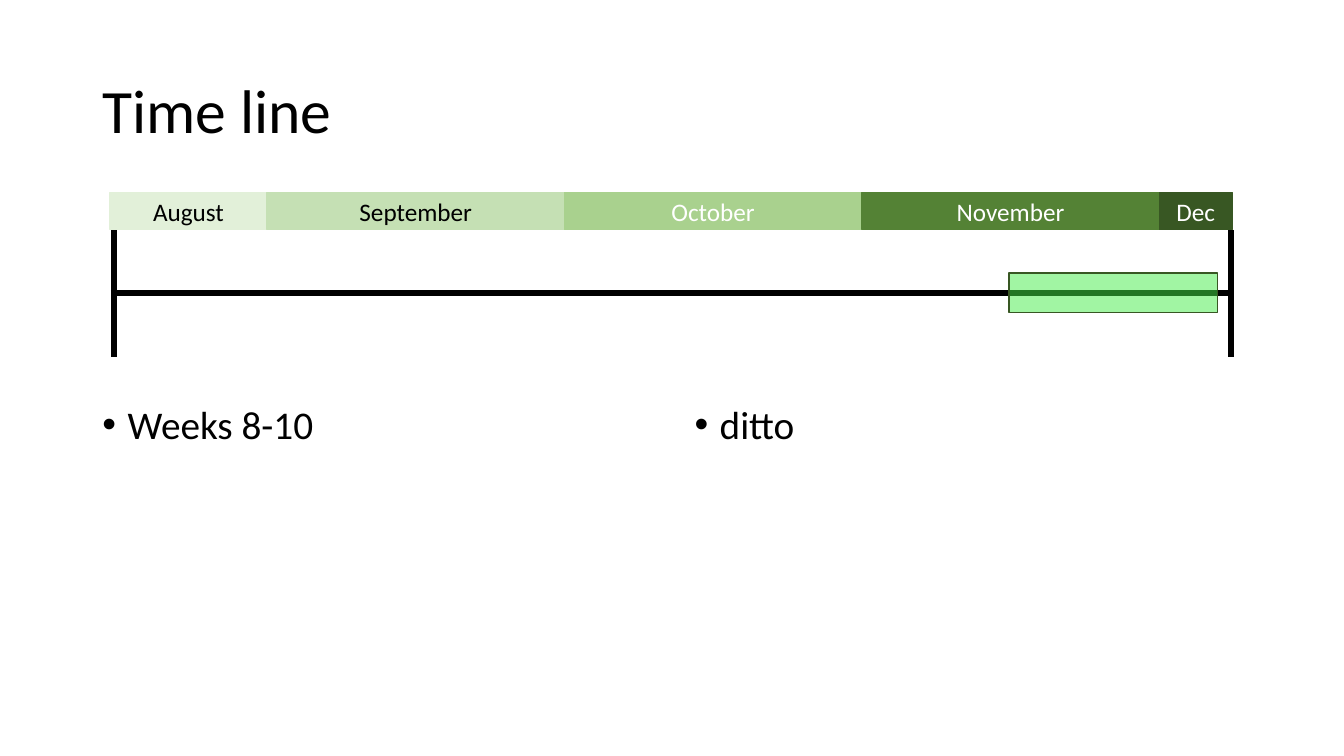
import dataclasses

import lxml.etree
import pptx
import pptx.dml.color
import pptx.enum.shapes
import pptx.enum.text
import pptx.oxml.ns
import pptx.util

SLIDE_WIDTH = pptx.util.Inches(13.33)
SLIDE_HEIGHT = pptx.util.Inches(7.5)
COLUMNS, ROWS = 40, 30


@dataclasses.dataclass(frozen=True)
class Theme:
    """Fonts, type sizes, line widths and colours of the slide."""
    font: str = "Calibri"
    title_size: int = 44
    list_size: int = 28
    month_size: int = 18
    axis_width: float = 4.5
    outline_width: float = 1
    ink: str = "000000"
    paper: str = "FFFFFF"
    august: str = "E2F0D9"
    september: str = "C5E0B4"
    october: str = "A9D18E"
    november: str = "548235"
    december: str = "385723"
    period: str = "44EC48"


THEME = Theme()


def across(columns):
    """Convert grid columns to a horizontal length."""
    return round(SLIDE_WIDTH * columns / COLUMNS)


def down(rows):
    """Convert grid rows to a vertical length."""
    return round(SLIDE_HEIGHT * rows / ROWS)


def rgb(colour):
    """Convert a hexadecimal colour to an RGB colour."""
    return pptx.dml.color.RGBColor.from_string(colour)


def add_xml(parent, tag, **attributes):
    """Append a DrawingML element and return it."""
    return lxml.etree.SubElement(parent, pptx.oxml.ns.qn(tag), attributes)


def write(holder, text, size, colour, alignment, anchor):
    """Set one formatted paragraph in a shape and return it."""
    frame = holder.text_frame
    frame.text = text
    frame.word_wrap = True
    frame.auto_size = pptx.enum.text.MSO_AUTO_SIZE.NONE
    frame.vertical_anchor = anchor
    paragraph = frame.paragraphs[0]
    paragraph.alignment = alignment
    font = paragraph.runs[0].font
    font.name, font.size = THEME.font, pptx.util.Pt(size)
    font.color.rgb = rgb(colour)
    return paragraph


def place(holder, left, top, width, height):
    """Move a placeholder to a cell range of the grid."""
    holder.left, holder.top = across(left), down(top)
    holder.width, holder.height = across(width), down(height)


def fill_title(title, text):
    """Place and format the slide title."""
    place(title, 2.75, 1.6, 34.5, 5.8)
    heading = write(title, text, THEME.title_size, THEME.ink,
                    pptx.enum.text.PP_ALIGN.LEFT, pptx.enum.text.MSO_ANCHOR.MIDDLE)
    heading.line_spacing = 0.9


def fill_list(body, left, text):
    """Place and format a bulleted list."""
    place(body, left, 15.88, 16.26, 11.52)
    item = write(body, text, THEME.list_size, THEME.ink,
                 pptx.enum.text.PP_ALIGN.LEFT, pptx.enum.text.MSO_ANCHOR.TOP)
    item.line_spacing = 0.9
    item.space_before = pptx.util.Pt(10)
    indent = pptx.util.Inches(0.25)
    properties = item._p.get_or_add_pPr()
    properties.set("marL", str(indent))
    properties.set("indent", str(-indent))
    add_xml(properties, "a:buFont", typeface="Arial")
    add_xml(properties, "a:buChar", char="•")


def add_block(slide, left, top, width, height, fill, outline):
    """Add a flat rectangle on the grid."""
    block = slide.shapes.add_shape(
        pptx.enum.shapes.MSO_SHAPE.RECTANGLE,
        across(left), down(top), across(width), down(height))
    block.shadow.inherit = False
    block.fill.solid()
    block.fill.fore_color.rgb = rgb(fill)
    block.line.color.rgb = rgb(outline)
    block.line.width = pptx.util.Pt(THEME.outline_width)
    return block


def add_rule(slide, left, top, right, bottom):
    """Add a thick straight line on the grid."""
    rule = slide.shapes.add_connector(
        pptx.enum.shapes.MSO_CONNECTOR.STRAIGHT,
        across(left), down(top), across(right), down(bottom))
    rule.line.color.rgb = rgb(THEME.ink)
    rule.line.width = pptx.util.Pt(THEME.axis_width)
    add_xml(rule._element.spPr, "a:effectLst")


def add_months(slide, months):
    """Add adjoining month blocks from left to right."""
    left = 3.27
    for month, width, fill, colour in months:
        block = add_block(slide, left, 7.64, width, 1.48, fill, fill)
        write(block, month, THEME.month_size, colour,
              pptx.enum.text.PP_ALIGN.CENTER, pptx.enum.text.MSO_ANCHOR.MIDDLE)
        left += width


def add_period(slide):
    """Add the half-transparent period over the axis."""
    period = add_block(slide, 30.03, 10.84, 6.21, 1.56, THEME.period, THEME.december)
    colour = period._element.spPr.find(".//" + pptx.oxml.ns.qn("a:srgbClr"))
    add_xml(colour, "a:alpha", val="50000")


def main():
    """Build and save the time line slide."""
    deck = pptx.Presentation()
    deck.slide_width, deck.slide_height = SLIDE_WIDTH, SLIDE_HEIGHT
    slide = deck.slides.add_slide(deck.slide_layouts.get_by_name("Two Content"))
    title, weeks, remark = slide.placeholders
    fill_title(title, "Time line")
    fill_list(weeks, 2.75, "Weeks 8-10")
    fill_list(remark, 20.37, "ditto")

    axis_row, first_post, last_post = 11.64, 3.39, 36.63
    add_rule(slide, 3.3, axis_row, 36.69, axis_row)
    for post in (first_post, last_post):
        add_rule(slide, post, 9.12, post, 14.16)
    full_month = 8.85
    add_months(slide, [
        ("August", 4.68, THEME.august, THEME.ink),
        ("September", full_month, THEME.september, THEME.ink),
        ("October", full_month, THEME.october, THEME.paper),
        ("November", full_month, THEME.november, THEME.paper),
        ("Dec", 2.18, THEME.december, THEME.paper),
    ])
    add_period(slide)
    deck.save("out.pptx")


main()
